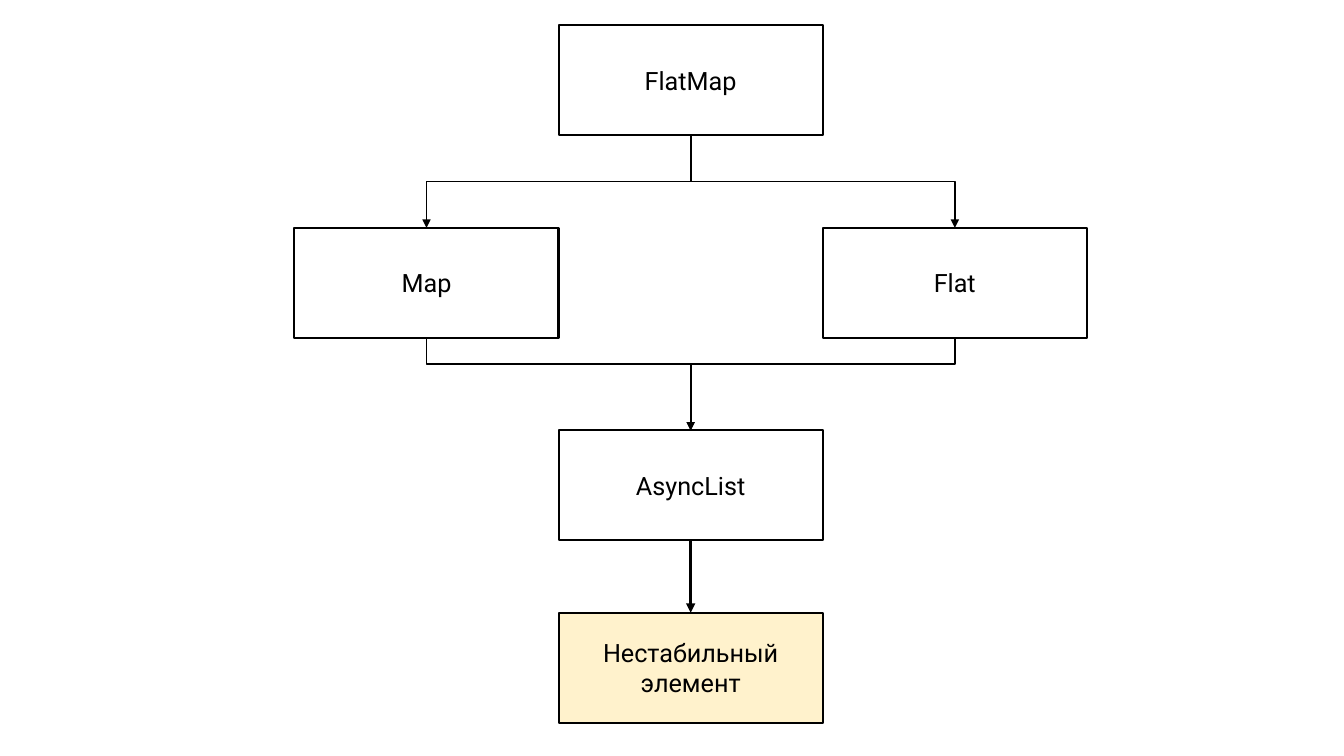
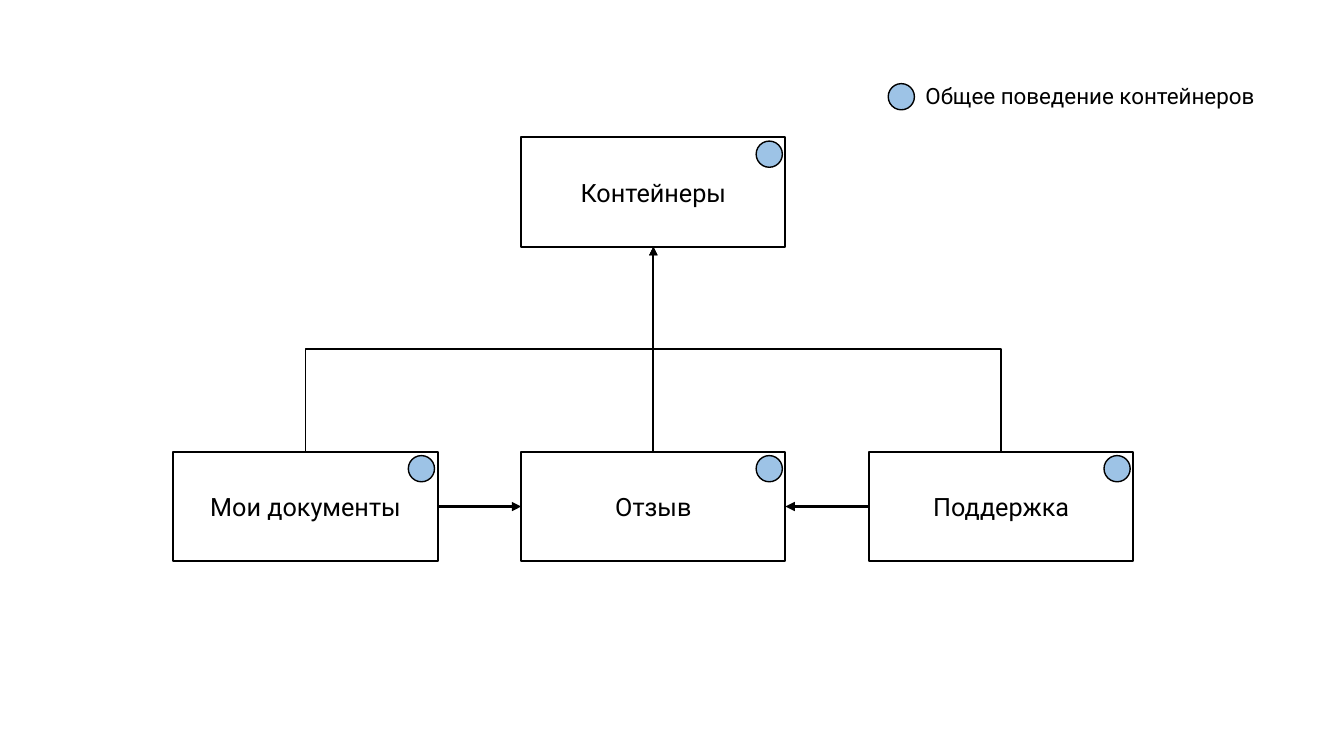
"""Draw two diagrams of linked boxes on a shared set of styles."""
from dataclasses import dataclass

from lxml.etree import SubElement
from pptx import Presentation
from pptx.dml.color import RGBColor
from pptx.enum.shapes import MSO_CONNECTOR, MSO_SHAPE
from pptx.enum.text import MSO_ANCHOR, MSO_AUTO_SIZE, PP_ALIGN
from pptx.oxml.ns import qn
from pptx.util import Emu, Inches, Pt

BLACK = RGBColor(0x00, 0x00, 0x00)
WHITE = RGBColor(0xFF, 0xFF, 0xFF)
CREAM = RGBColor(0xFF, 0xF2, 0xCC)
BLUE = RGBColor(0x9D, 0xC3, 0xE6)
FONT = "Roboto"
WIDE, HIGH = 2.62, 1.09
DOT = 0.26
TOP, LEFT, BOTTOM, RIGHT = range(4)


@dataclass(frozen=True)
class Grid:
    left: float
    top: float
    col: float
    row: float


@dataclass(frozen=True)
class Box:
    text: str
    col: float
    row: float
    fill: RGBColor = WHITE


@dataclass(frozen=True)
class Link:
    start: str
    out: int
    end: str
    into: int
    width: float = 1.25
    bend: float = 0.5


@dataclass(frozen=True)
class Chart:
    grid: Grid
    boxes: tuple[Box, ...]
    links: tuple[Link, ...]
    legend: str = ""


CHARTS = (
    Chart(
        Grid(2.92, 0.25, WIDE, 2.01),
        (
            Box("FlatMap", 1, 0),
            Box("Map", 0, 1),
            Box("Flat", 2, 1),
            Box("AsyncList", 1, 2),
            Box("Нестабильный элемент", 1, 2.9, CREAM),
        ),
        (
            Link("FlatMap", BOTTOM, "Map", TOP),
            Link("FlatMap", BOTTOM, "Flat", TOP),
            Link("Map", BOTTOM, "AsyncList", TOP, bend=0.28),
            Link("Flat", BOTTOM, "AsyncList", TOP, bend=0.28),
            Link("AsyncList", BOTTOM, "Нестабильный элемент", TOP, 2.25),
        ),
    ),
    Chart(
        Grid(1.72, 1.36, 3.45, 3.12),
        (
            Box("Контейнеры", 1, 0),
            Box("Мои документы", 0, 1),
            Box("Отзыв", 1, 1),
            Box("Поддержка", 2, 1),
        ),
        (
            Link("Мои документы", TOP, "Контейнеры", BOTTOM),
            Link("Отзыв", TOP, "Контейнеры", BOTTOM),
            Link("Поддержка", TOP, "Контейнеры", BOTTOM),
            Link("Мои документы", RIGHT, "Отзыв", LEFT, 2.25),
            Link("Поддержка", LEFT, "Отзыв", RIGHT, 2.25),
        ),
        "Общее поведение контейнеров",
    ),
)


def write(frame, text: str, size: int, align: PP_ALIGN) -> None:
    """Put one styled paragraph in a text frame."""
    frame.text = text
    para = frame.paragraphs[0]
    para.alignment = align
    font = para.runs[0].font
    font.name, font.size = FONT, Pt(size)
    font.color.rgb = BLACK


def draw_shape(slide, kind: MSO_SHAPE, at: tuple, fill: RGBColor, width: float):
    """Add a filled shape with a black outline."""
    shape = slide.shapes.add_shape(kind, *map(Inches, at))
    shape.shadow.inherit = False
    shape.fill.solid()
    shape.fill.fore_color.rgb = fill
    shape.line.color.rgb = BLACK
    shape.line.width = Pt(width)
    return shape


def draw_dot(slide, left: float, top: float) -> None:
    """Add a marker for the shared behaviour."""
    draw_shape(slide, MSO_SHAPE.OVAL, (left, top, DOT, DOT), BLUE, 1)


def draw_box(slide, grid: Grid, box: Box, dotted: bool):
    """Add a labelled box at its grid cell."""
    left = grid.left + box.col * grid.col
    top = grid.top + box.row * grid.row
    at = (left, top, WIDE, HIGH)
    shape = draw_shape(slide, MSO_SHAPE.RECTANGLE, at, box.fill, 1.5)
    shape.text_frame.word_wrap = True
    shape.text_frame.vertical_anchor = MSO_ANCHOR.MIDDLE
    write(shape.text_frame, box.text, 18, PP_ALIGN.CENTER)
    if dotted:
        draw_dot(slide, left + WIDE - DOT - 0.03, top + 0.04)
    return shape


def find_side(shape, side: int) -> tuple[int, int]:
    """Return the middle of one side of a shape."""
    x = {LEFT: 0, RIGHT: shape.width}.get(side, shape.width // 2)
    y = {TOP: 0, BOTTOM: shape.height}.get(side, shape.height // 2)
    return shape.left + x, shape.top + y


def turn_elbow(line, start: tuple, end: tuple, bend: float) -> None:
    """Make an elbow leave and arrive vertically."""
    run, drop = end[0] - start[0], end[1] - start[1]
    line.width, line.height = Emu(abs(drop)), Emu(abs(run))
    line.left = Emu((start[0] + end[0] - line.width) // 2)
    line.top = Emu((start[1] + end[1] - line.height) // 2)
    props = line._element.spPr
    frame = props.find(qn("a:xfrm"))
    frame.set("rot", str((90 if run * drop < 0 else 270) * 60000))
    frame.set("flipH", str(int(run > 0)))
    frame.set("flipV", str(int(drop < 0)))
    guides = props.find(qn("a:prstGeom")).find(qn("a:avLst"))
    SubElement(guides, qn("a:gd"), name="adj1", fmla=f"val {round(bend * 100000)}")


def draw_link(slide, shapes: dict, link: Link) -> None:
    """Join two boxes with an arrow."""
    source, target = shapes[link.start], shapes[link.end]
    start, end = find_side(source, link.out), find_side(target, link.into)
    elbow = start[0] != end[0] and start[1] != end[1]
    kind = MSO_CONNECTOR.ELBOW if elbow else MSO_CONNECTOR.STRAIGHT
    line = slide.shapes.add_connector(kind, *start, *end)
    line.begin_connect(source, link.out)
    line.end_connect(target, link.into)
    if elbow:
        turn_elbow(line, start, end, link.bend)
    line.line.color.rgb = BLACK
    line.line.width = Pt(link.width)
    SubElement(line.line._get_or_add_ln(), qn("a:tailEnd"), type="triangle")
    SubElement(line._element.spPr, qn("a:effectLst"))


def draw_legend(slide, text: str) -> None:
    """Explain the marker in the top right corner."""
    draw_dot(slide, 8.81, 0.83)
    label = slide.shapes.add_textbox(*map(Inches, (9.08, 0.77, 3.71, 0.37)))
    label.text_frame.word_wrap = False
    label.text_frame.auto_size = MSO_AUTO_SIZE.SHAPE_TO_FIT_TEXT
    write(label.text_frame, text, 16, PP_ALIGN.LEFT)


def draw_chart(deck, chart: Chart) -> None:
    """Add one slide with its boxes, links and legend."""
    slide = deck.slides.add_slide(deck.slide_layouts[6])
    shapes = {
        box.text: draw_box(slide, chart.grid, box, bool(chart.legend))
        for box in chart.boxes
    }
    for link in chart.links:
        draw_link(slide, shapes, link)
    if chart.legend:
        draw_legend(slide, chart.legend)


def main() -> None:
    """Build and save the deck."""
    deck = Presentation()
    deck.slide_width, deck.slide_height = Inches(13.33), Inches(7.5)
    for chart in CHARTS:
        draw_chart(deck, chart)
    deck.save("out.pptx")


if __name__ == "__main__":
    main()
